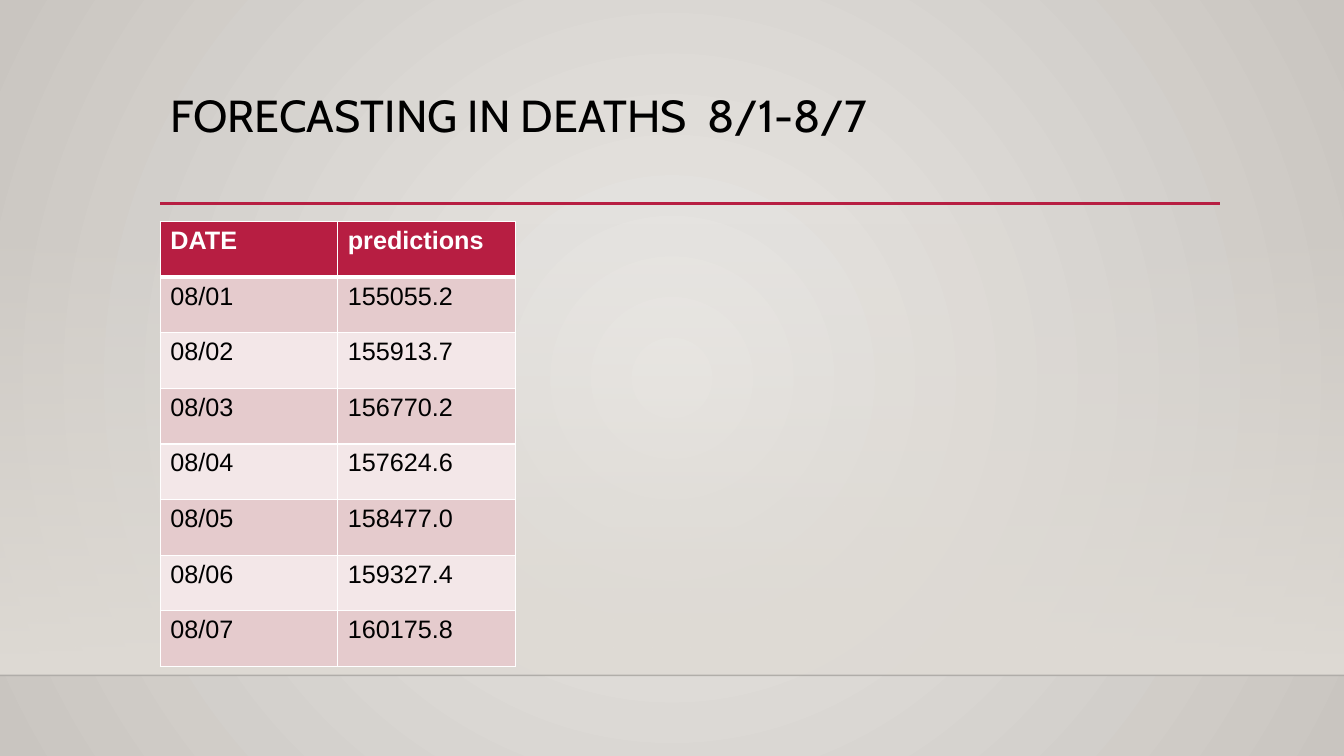
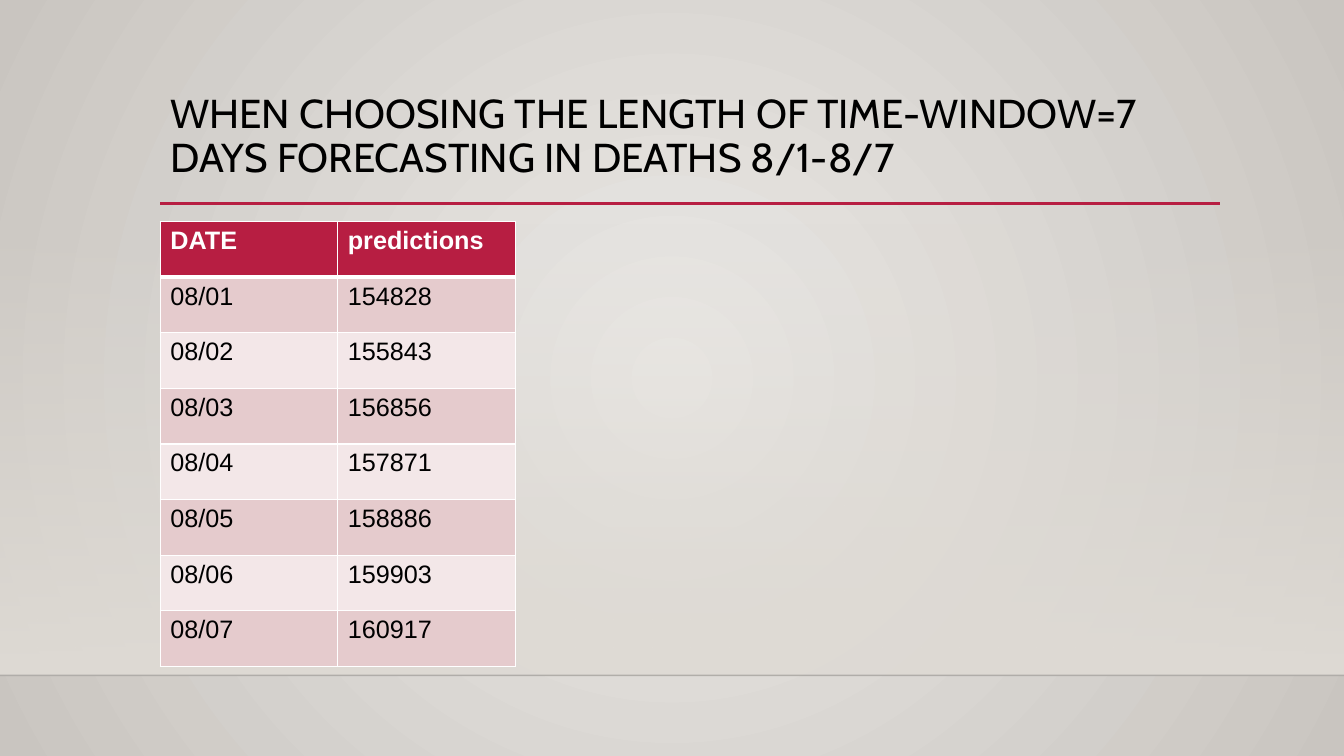
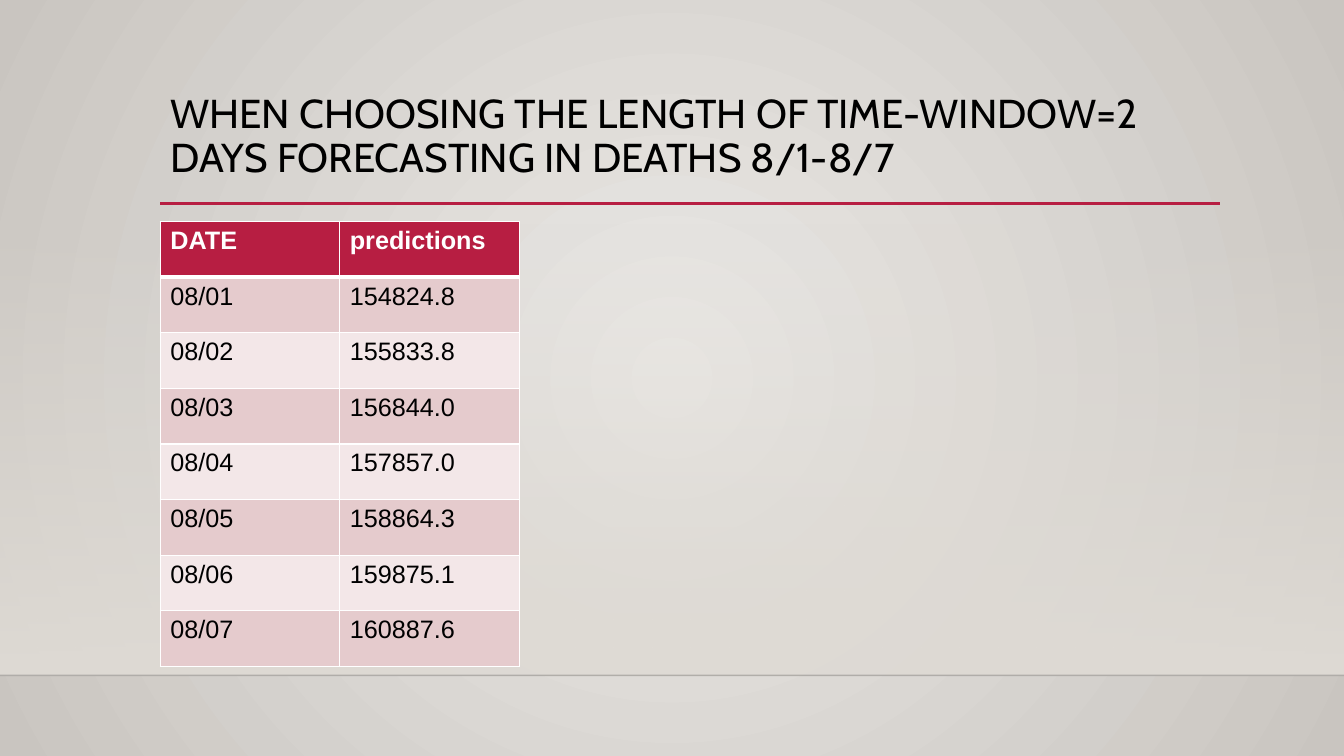
from lxml.etree import SubElement
from pptx import Presentation
from pptx.dml.color import RGBColor
from pptx.enum.shapes import MSO_CONNECTOR as Connector, MSO_SHAPE as Shape
from pptx.enum.text import MSO_ANCHOR as Anchor, MSO_AUTO_SIZE as AutoSize, PP_ALIGN as Align
from pptx.oxml.ns import qn
from pptx.util import Inches, Pt

COLORS = {
    "center": "EBE9E6",
    "edge": "C9C5C0",
    "floor": "DFDBD5",
    "horizon": "000001",
    "accent": "B71E42",
    "white": "FFFFFF",
    "black": "000000",
    "dark_row": "E5CBCD",
    "light_row": "F3E7E8",
}
SLIDE_WIDTH, SLIDE_HEIGHT = 13.33, 7.5
TITLE_BOX = (1.59, 0.88, 10.5, 1.15)
FLOOR_BOX = (0, 2.21, SLIDE_WIDTH, 4.49)
TABLE_LEFT, TABLE_TOP, TABLE_HEIGHT = 1.59, 2.2, 4.41

FORECASTS = [
    {
        "title": "FORECASTING IN DEATHS  8/1-8/7",
        "title_size": 32,
        "table_width": 3.52,
        "predictions": ["155055.2", "155913.7", "156770.2", "157624.6",
                        "158477.0", "159327.4", "160175.8"],
    },
    {
        "title": "WHEN CHOOSING THE LENGTH OF TIME-WINDOW=7 DAYS FORECASTING IN DEATHS 8/1-8/7",
        "title_size": 28.8,
        "table_width": 3.52,
        "predictions": ["154828", "155843", "156856", "157871",
                        "158886", "159903", "160917"],
    },
    {
        "title": "WHEN CHOOSING THE LENGTH OF TIME-WINDOW=2 DAYS FORECASTING IN DEATHS 8/1-8/7",
        "title_size": 28.8,
        "table_width": 3.56,
        "predictions": ["154824.8", "155833.8", "156844.0", "157857.0",
                        "158864.3", "159875.1", "160887.6"],
    },
]


def rgb(name):
    return RGBColor.from_string(COLORS[name])


def write_text(text_frame, text, size=18, font="Arial", color="black", bold=False, spacing=1.0):
    paragraph = text_frame.paragraphs[0]
    paragraph.alignment = Align.LEFT
    paragraph.line_spacing = spacing
    run = paragraph.add_run()
    run.text = text
    run.font.size = Pt(size)
    run.font.name = font
    run.font.bold = bold
    run.font.color.rgb = rgb(color)


def set_gradient(fill, first, last):
    fill.gradient()
    for stop, color in zip(fill.gradient_stops, (first, last)):
        stop.color.rgb = rgb(color)


def set_opacity(element, percent):
    color = next(element.iter(qn("a:srgbClr")))
    SubElement(color, qn("a:alpha"), val=str(percent * 1000))


def add_rule(slide, left, top, right, color, width):
    rule = slide.shapes.add_connector(
        Connector.STRAIGHT, Inches(left), Inches(top), Inches(right), Inches(top))
    rule.line.color.rgb = rgb(color)
    rule.line.width = Pt(width)
    SubElement(rule.element.spPr, qn("a:effectLst"))
    return rule


def add_floor(slide, box):
    left, top, width, height = box
    floor = slide.shapes.add_shape(Shape.RECTANGLE, *map(Inches, box))
    floor.shadow.inherit = False
    floor.line.fill.background()
    set_gradient(floor.fill, "floor", "floor")
    floor.fill.gradient_angle = 270
    set_opacity(floor.element, 0)
    horizon = add_rule(slide, left, top + height, left + width, "horizon", 1)
    set_opacity(horizon.element, 20)
    return [floor, horizon]


def style_background(layout):
    set_gradient(layout.background.fill, "center", "edge")
    gradient = next(layout.element.iter(qn("a:gradFill")))
    gradient.remove(gradient.find(qn("a:lin")))
    circle = SubElement(gradient, qn("a:path"), path="circle")
    SubElement(circle, qn("a:fillToRect"), l="50000", t="50000", r="50000", b="50000")


def style_title(layout, box):
    for placeholder in list(layout.placeholders):
        if placeholder.placeholder_format.idx:
            layout.shapes.element.remove(placeholder.element)
    title = layout.placeholders[0]
    title.left, title.top, title.width, title.height = map(Inches, box)
    title.text_frame.vertical_anchor = Anchor.TOP
    title.text_frame.auto_size = AutoSize.NONE


def style_layout(layout, slide):
    style_background(layout)
    style_title(layout, TITLE_BOX)
    title_rule = add_rule(slide, 1.59, 2.02, 12.1, "accent", 2.5)
    for shape in add_floor(slide, FLOOR_BOX) + [title_rule]:
        layout.shapes.element.append(shape.element)


def set_borders(cell, top=1, bottom=1):
    properties = cell._tc.get_or_add_tcPr()
    for side, width in (("L", 1), ("R", 1), ("T", top), ("B", bottom)):
        border = SubElement(properties, qn(f"a:ln{side}"), w=str(Pt(width)))
        fill = SubElement(border, qn("a:solidFill"))
        SubElement(fill, qn("a:srgbClr"), val=COLORS["white"])


def add_prediction_table(slide, box, predictions):
    rows = [("DATE", "predictions")]
    rows += [(f"08/{day:02}", value) for day, value in enumerate(predictions, 1)]
    left, top, width, height = map(Inches, box)
    table = slide.shapes.add_table(len(rows), 2, left, top, width, height).table
    for row_index, row in enumerate(rows):
        header = row_index == 0
        row_fill = "accent" if header else ("light_row", "dark_row")[row_index % 2]
        for column_index, text in enumerate(row):
            cell = table.cell(row_index, column_index)
            set_borders(cell, top=3 if row_index == 1 else 1, bottom=3 if header else 1)
            cell.fill.solid()
            cell.fill.fore_color.rgb = rgb(row_fill)
            write_text(cell.text_frame, text, bold=header, color="white" if header else "black")


def fill_forecast_slide(slide, forecast):
    write_text(slide.shapes.title.text_frame, forecast["title"],
               size=forecast["title_size"], font="Cabin", spacing=0.9)
    table_box = (TABLE_LEFT, TABLE_TOP, forecast["table_width"], TABLE_HEIGHT)
    add_prediction_table(slide, table_box, forecast["predictions"])


def main():
    presentation = Presentation()
    presentation.slide_width = Inches(SLIDE_WIDTH)
    presentation.slide_height = Inches(SLIDE_HEIGHT)
    layout = presentation.slide_layouts.get_by_name("Title Only")
    slides = [presentation.slides.add_slide(layout) for _ in FORECASTS]
    style_layout(layout, slides[0])
    for slide, forecast in zip(slides, FORECASTS):
        fill_forecast_slide(slide, forecast)
    presentation.save("out.pptx")


if __name__ == "__main__":
    main()
